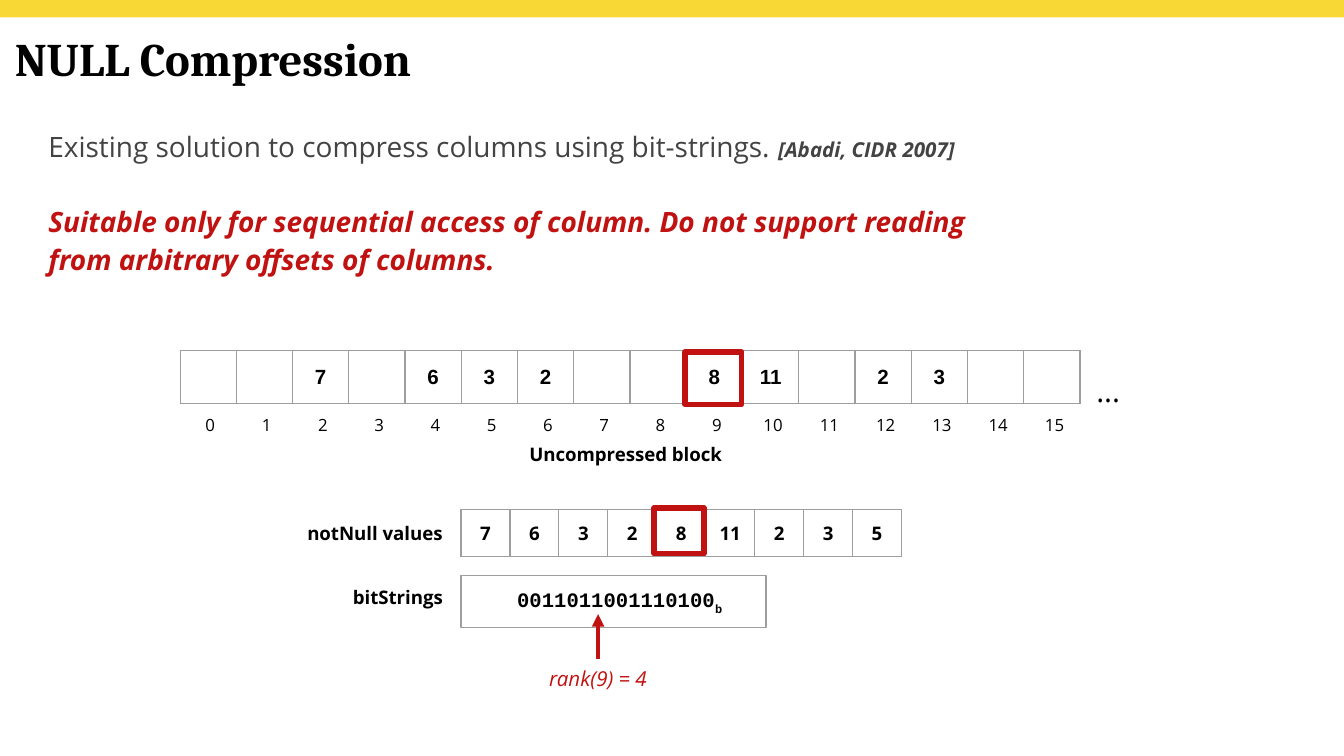
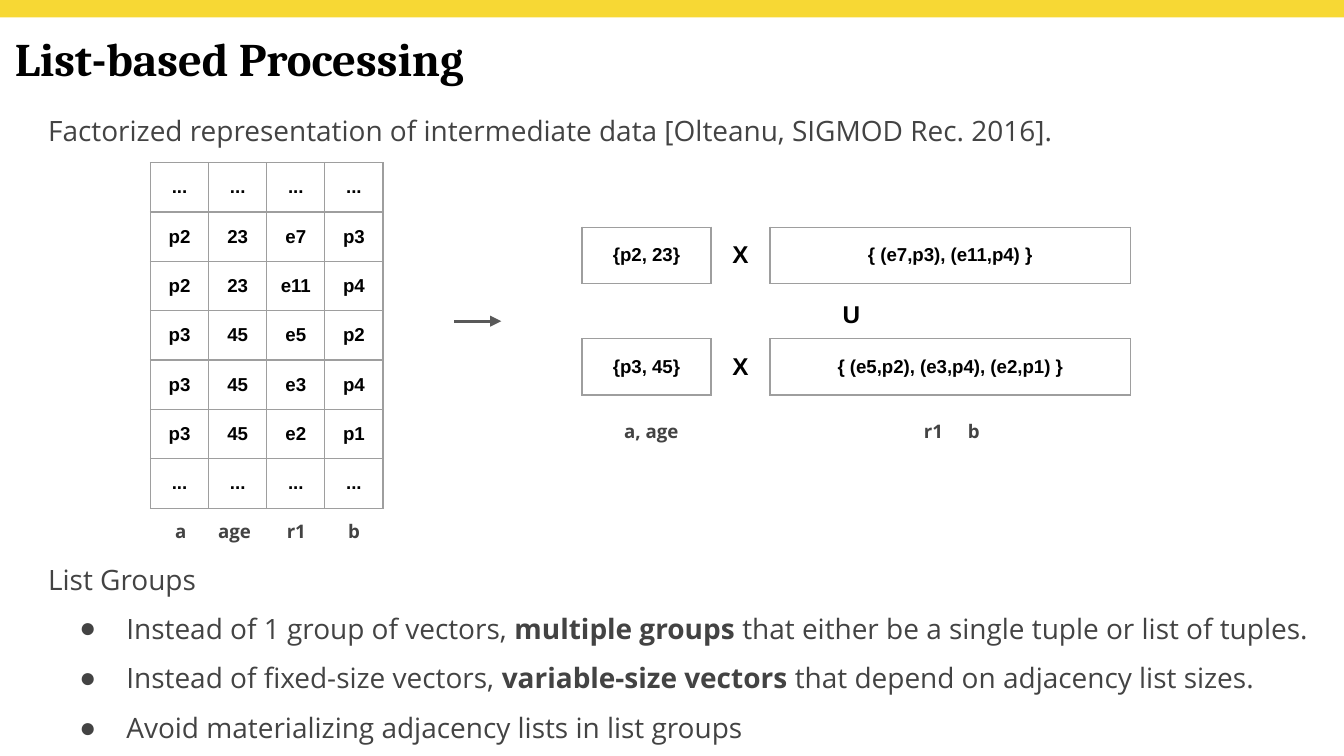
from lxml import etree
from pptx import Presentation
from pptx.dml.color import RGBColor
from pptx.enum.shapes import MSO_CONNECTOR, MSO_SHAPE
from pptx.enum.text import MSO_ANCHOR, MSO_AUTO_SIZE, PP_ALIGN
from pptx.oxml.ns import qn
from pptx.util import Inches, Pt

LEFT, MID = PP_ALIGN.LEFT, PP_ALIGN.CENTER
TOP, CORE = MSO_ANCHOR.TOP, MSO_ANCHOR.MIDDLE
RECT, LINE, FIXED = MSO_SHAPE.RECTANGLE, MSO_CONNECTOR.STRAIGHT, MSO_AUTO_SIZE.NONE

HUES = {"band": "F7D834", "ink": "000000", "text": "434343", "red": "C11212",
        "rule": "9E9E9E", "arrow": "595959", "paper": "FFFFFF"}
HEAD, SANS, CELL, CODE = "Cambria", "Open Sans", "Arial", "Courier New"
PAD = (0.1, 0.1, 0.1, 0.1)
SNUG = (0.1, 0.08, 0.1, 0.1)
FLAT = (0, 0, 0, 0)


def rgb(name):
    return RGBColor.from_string(HUES[name])


def node(parent, tag, **attrs):
    return etree.SubElement(parent, qn(tag), attrs)


# ---- text ----
def fit(target, ins=PAD, anchor=TOP):
    """Set insets and anchor of a text frame or a table cell."""
    (target.margin_left, target.margin_top,
     target.margin_right, target.margin_bottom) = map(Inches, ins)
    target.vertical_anchor = anchor


def mark(para, hue, bullet):
    """Give a paragraph a bullet, or take its bullet away."""
    props = para._p.get_or_add_pPr()
    props.set("marL", str(Inches(0.5) if bullet else 0))
    props.set("indent", str(Inches(-0.35) if bullet else 0))
    if bullet:
        node(node(props, "a:buClr"), "a:srgbClr", val=HUES[hue])
        node(props, "a:buChar", char=bullet)
    else:
        node(props, "a:buNone")


def write(frame, paras, size=10, font=SANS, hue="ink", bold=False, italic=False,
          align=MID, line=None, gap=0, bullet=None):
    """Each paragraph is a string or a list of (text, changes) runs."""
    base = {"size": size, "font": font, "hue": hue, "bold": bold, "italic": italic}
    for i, runs in enumerate(paras):
        para = frame.paragraphs[0] if i == 0 else frame.add_paragraph()
        mark(para, hue, bullet)
        para.alignment = align
        para.space_before = Pt(gap if i else 0)
        para.space_after = Pt(0)
        if line:
            para.line_spacing = line
        for text, changes in ([(runs, {})] if isinstance(runs, str) else runs):
            look = base | changes
            run = para.add_run()
            run.text = text
            run.font.size = Pt(look["size"])
            run.font.name = look["font"]
            run.font.bold = look["bold"]
            run.font.italic = look["italic"]
            run.font.color.rgb = rgb(look["hue"])
            if "drop" in look:
                run._r.get_or_add_rPr().set("baseline", str(-1000 * look["drop"]))


def label(slide, at, text, ins=PAD, anchor=TOP, **form):
    frame = slide.shapes.add_textbox(*map(Inches, at)).text_frame
    frame.word_wrap = True
    fit(frame, ins, anchor)
    write(frame, [text], **form)


def place(holder, at, paras, **form):
    """Move a placeholder and fill it."""
    holder.left, holder.top, holder.width, holder.height = map(Inches, at)
    frame = holder.text_frame
    frame.word_wrap = True
    frame.auto_size = FIXED
    fit(frame)
    write(frame, paras, align=LEFT, **form)


def body(slide, at, paras, **form):
    place(slide.placeholders[1], at, paras, size=15, line=1.15, **form)


# ---- shapes ----
def block(slide, at, fill=None, edge=None, width=0.75):
    shape = slide.shapes.add_shape(RECT, *map(Inches, at))
    shape.shadow.inherit = False
    if fill:
        shape.fill.solid()
        shape.fill.fore_color.rgb = rgb(fill)
    else:
        shape.fill.background()
    if edge:
        shape.line.color.rgb = rgb(edge)
        shape.line.width = Pt(width)
    else:
        shape.line.fill.background()
    return shape


def arrow(slide, start, end, hue, width):
    link = slide.shapes.add_connector(LINE, *map(Inches, start + end))
    link.line.color.rgb = rgb(hue)
    link.line.width = Pt(width)
    node(link.line._get_or_add_ln(), "a:tailEnd", type="triangle")
    node(link._element.spPr, "a:effectLst")


def grid(slide, x, y, rows, widths, high, ins=PAD, fill=None, bare=(), **form):
    """Ruled table; columns in bare have no visible top and bottom rule."""
    size = map(Inches, (x, y, sum(widths), high * len(rows)))
    table = slide.shapes.add_table(len(rows), len(widths), *size).table
    table.first_row = table.horz_banding = False
    for col, wide in zip(table.columns, widths):
        col.width = Inches(wide)
    for r, texts in enumerate(rows):
        table.rows[r].height = Inches(high)
        for c, text in enumerate(texts):
            cell = table.cell(r, c)
            fit(cell, ins, CORE)
            props = cell._tc.get_or_add_tcPr()
            for side in "LRTB":
                hue = "paper" if c in bare and side in "TB" else "rule"
                rule = node(props, f"a:ln{side}", w=str(Pt(0.75)))
                node(node(rule, "a:solidFill"), "a:srgbClr", val=HUES[hue])
            if fill:
                cell.fill.solid()
                cell.fill.fore_color.rgb = rgb(fill)
            else:
                cell.fill.background()
            if text:
                write(cell.text_frame, [text], bold=True, **form)


def start(deck, title):
    """Slide with the yellow band and the title."""
    slide = deck.slides.add_slide(deck.slide_layouts[1])
    block(slide, (0, 0, 10, 0.13), fill="band")
    place(slide.shapes.title, (0.01, 0.12, 7.4, 0.62), [title],
          size=25, font=HEAD, bold=True)
    return slide


# ---- NULL compression ----
def column(slide, x, y):
    """Uncompressed block with its offsets."""
    values = ["", "", "7", "", "6", "3", "2", "", "", "8", "11", "", "2", "3", "", ""]
    step, high = 6.7 / len(values), 0.39
    grid(slide, x, y, [values], [step] * len(values), high, ins=FLAT, size=11, font=CELL)
    for i in range(len(values)):
        label(slide, (x + 0.04 + i * step, y + 0.4, 0.37, 0.27), str(i), size=9)
    label(slide, (x + 6.78, y + 0.06, 0.25, 0.39), "...", ins=(0, 0.1, 0, 0.1), size=16)
    label(slide, (x + 2.35, y + 0.6, 1.93, 0.34), "Uncompressed block", bold=True)
    block(slide, (x + 9 * step - 0.01, y + 0.01, 0.42, high), edge="red", width=3)


def packed(slide, x, y):
    """Values that are not null, the bit string and its rank."""
    values = ["7", "6", "3", "2", "8", "11", "2", "3", "5"]
    step = 3.28 / len(values)
    label(slide, (x - 1.32, y + 0.01, 1.36, 0.39), "notNull values", bold=True)
    grid(slide, x, y, [values], [step] * len(values), 0.35, ins=FLAT, fill="paper")
    block(slide, (x + 4 * step - 0.02, y - 0.01, 0.37, 0.34), edge="red", width=3)

    label(slide, (x - 0.96, y + 0.57, 0.98, 0.24), "bitStrings", ins=FLAT, bold=True)
    bits = block(slide, (x, y + 0.49, 2.27, 0.39), fill="paper", edge="rule").text_frame
    fit(bits, (0.19, 0.1, 0.1, 0.1), CORE)
    write(bits, [[("0011011001110100", {}), ("b", {"drop": 25})]],
          size=11, font=CODE, bold=True)

    arrow(slide, (x + 1.02, y + 1.11), (x + 1.02, y + 0.78), "red", 2.25)
    label(slide, (x + 0.47, y + 1.05, 1.1, 0.43), "rank(9) = 4", ins=SNUG, anchor=CORE,
          size=11, hue="red", italic=True)


def nulls(deck):
    slide = start(deck, "NULL Compression")
    strong = {"bold": True, "italic": True}
    body(slide, (0.26, 0.83, 7.37, 1.3), [
        [("Existing solution to compress columns using bit-strings. ", {}),
         ("[Abadi, CIDR 2007]", strong | {"size": 11})],
        [("Suitable only for sequential access of column. Do not support reading "
          "from arbitrary offsets of columns.", strong | {"hue": "red"})],
    ], hue="text", gap=19)
    column(slide, 1.34, 2.61)
    packed(slide, 3.43, 3.79)


# ---- list-based processing ----
def tag(slide, x, y, text, wide):
    label(slide, (x, y, wide, 0.43), text, ins=SNUG, anchor=CORE, hue="text", bold=True)


def tuples(slide, x, y):
    """Flat table of tuples with column names below."""
    dots = ["..."] * 4
    rows = [dots, ["p2", "23", "e7", "p3"], ["p2", "23", "e11", "p4"],
            ["p3", "45", "e5", "p2"], ["p3", "45", "e3", "p4"],
            ["p3", "45", "e2", "p1"], dots]
    grid(slide, x, y, rows, [1.73 / 4] * 4, 2.56 / len(rows), font=CELL)
    for left, name in [(-0.09, "a"), (0.31, "age"), (0.77, "r1"), (1.2, "b")]:
        tag(slide, x + left, y + 2.54, name, 0.63)


def factors(slide, x, y):
    """Union of two products of list groups."""
    pairs = [("{p2, 23}", "{ (e7,p3), (e11,p4) }"),
             ("{p3, 45}", "{ (e5,p2), (e3,p4), (e2,p1) }")]
    for i, (one, many) in enumerate(pairs):
        grid(slide, x, y + i * 0.83, [[one, [("X", {"size": 13})], many]],
             [0.96, 0.44, 2.68], 0.42, bare=(1,), font=CELL)
    label(slide, (x + 1.69, y + 0.44, 0.63, 0.42), "U", size=13, font=CELL, bold=True)
    for left, name in [(0.16, "a, age"), (2.26, "r1"), (2.56, "b")]:
        tag(slide, x + left, y + 1.31, name, 0.71)


def lists(deck):
    slide = start(deck, "List-based Processing")
    lead = {"size": 15, "hue": "text", "align": LEFT, "line": 1.15}
    label(slide, (0.26, 0.71, 9.14, 0.45), "Factorized representation of "
          "intermediate data [Olteanu, SIGMOD Rec. 2016].", **lead)
    tuples(slide, 1.12, 1.21)
    arrow(slide, (3.38, 2.39), (3.73, 2.39), "arrow", 1.5)
    factors(slide, 4.33, 1.69)
    label(slide, (0.26, 4.05, 1.49, 0.45), "List Groups", **lead)
    strong = {"bold": True}
    body(slide, (0.34, 4.41, 9.68, 1.2), [
        [("Instead of 1 group of vectors, ", {}), ("multiple groups", strong),
         (" that either be a single tuple or list of tuples.", {})],
        [("Instead of fixed-size vectors, ", {}), ("variable-size vectors", strong),
         (" that depend on adjacency list sizes.", {})],
        "Avoid materializing adjacency lists in list groups",
    ], hue="text", gap=6, bullet="●")


def main():
    deck = Presentation()
    deck.slide_width = Inches(10)
    deck.slide_height = deck.slide_width * 9 // 16
    nulls(deck)
    lists(deck)
    deck.save("out.pptx")


if __name__ == "__main__":
    main()
